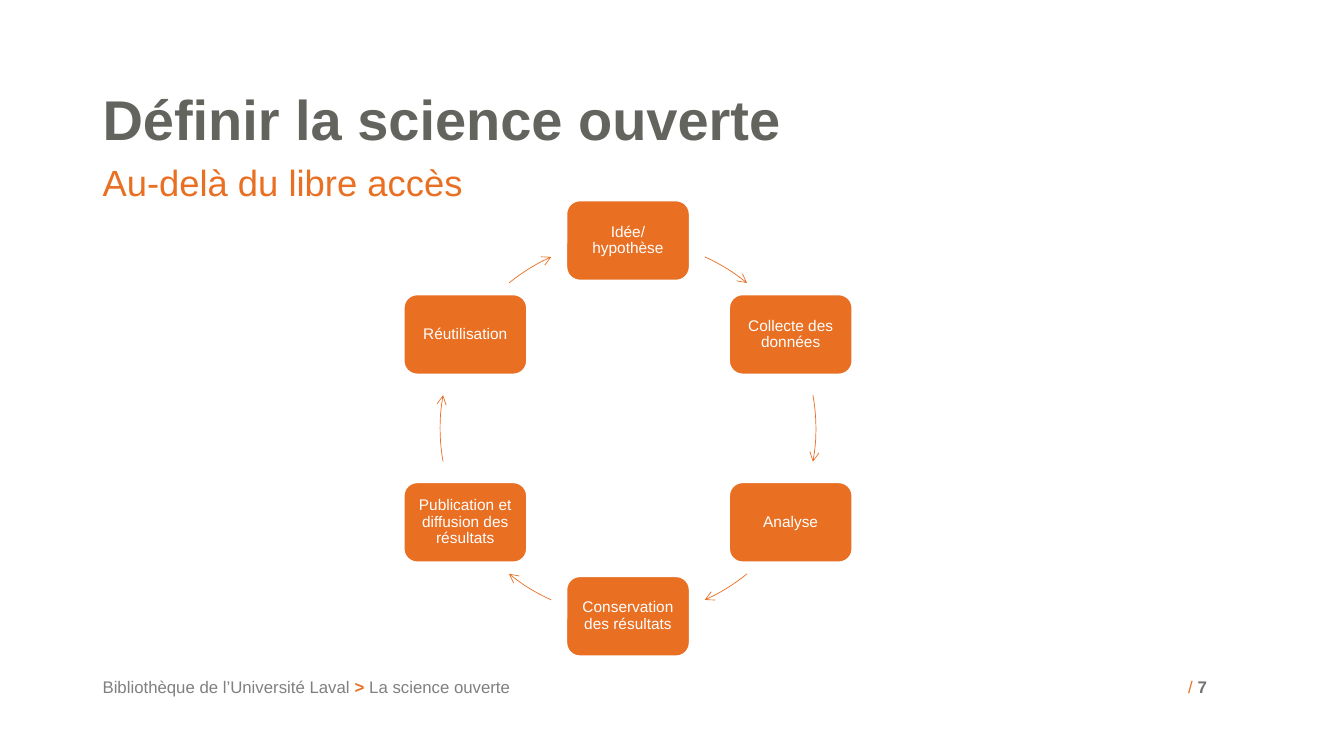
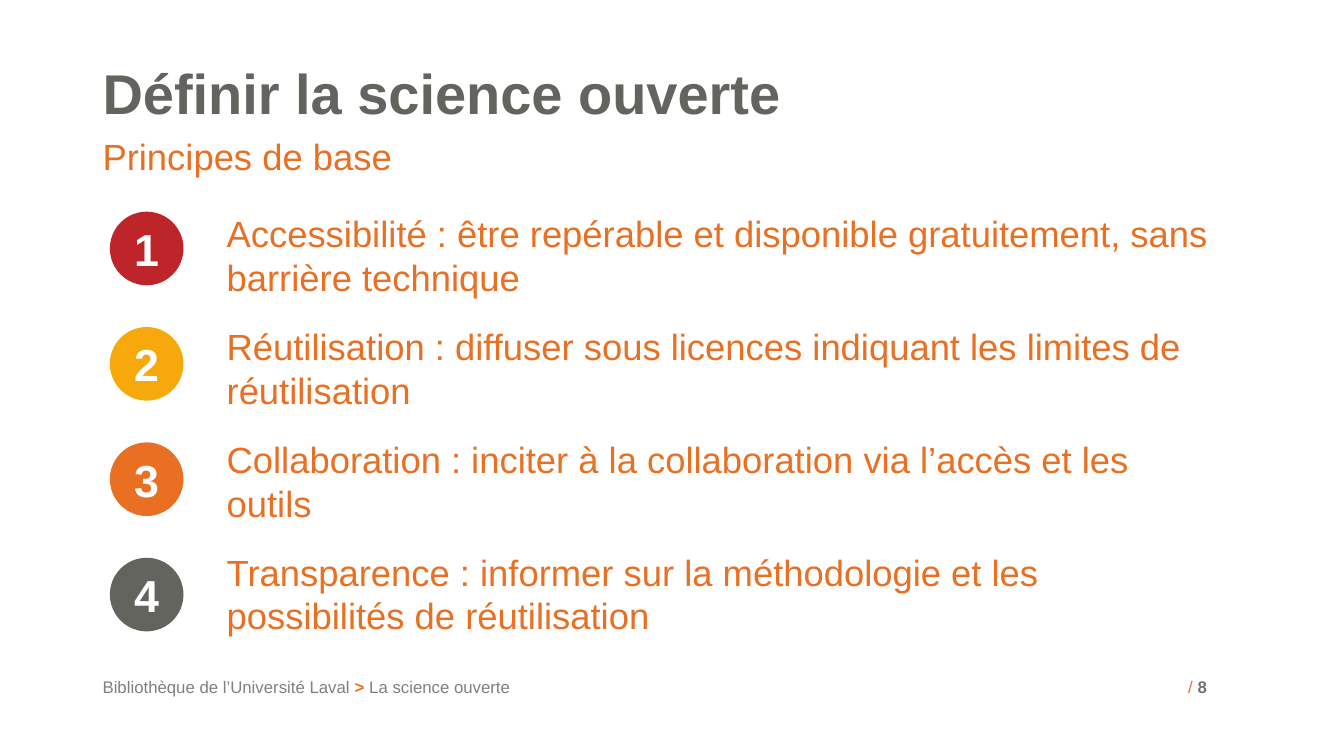
from dataclasses import dataclass
from math import cos, radians, sin

from lxml.etree import SubElement
from pptx import Presentation
from pptx.dml.color import RGBColor as Rgb
from pptx.enum.shapes import MSO_SHAPE as Shape
from pptx.enum.text import MSO_ANCHOR as Anchor, PP_ALIGN as Align
from pptx.oxml.ns import qn
from pptx.util import Pt


@dataclass(frozen=True)
class Theme:
    font: str = "Arial"
    orange: str = "E96F23"
    red: str = "BD252B"
    yellow: str = "F7A90B"
    dark: str = "64645F"
    footer_gray: str = "808080"
    number_gray: str = "767171"
    white: str = "FFFFFF"
    title_size: int = 40
    body_size: int = 26
    badge_size: int = 32
    footer_size: int = 12
    step_size: int = 11


theme = Theme()
MARGIN_LEFT = 66.2
CONTENT_WIDTH = 828
CENTERED = {"alignment": Align.CENTER}
TIGHT = {"line_spacing": 0.9}
MIDDLE = {"vertical_anchor": Anchor.MIDDLE}


def write(shape, size, runs, paragraph_format=None, frame_format=None):
    """Fill a shape with one paragraph of (text, colour, bold) runs."""
    frame = shape.text_frame
    paragraph = frame.paragraphs[0]
    for target, values in (
        (frame, {"word_wrap": True, "vertical_anchor": Anchor.TOP, **(frame_format or {})}),
        (paragraph, {"alignment": Align.LEFT, **(paragraph_format or {})}),
    ):
        for name, value in values.items():
            setattr(target, name, value)
    for text, color, bold in runs:
        run = paragraph.add_run()
        run.text = text
        for name, value in {"name": theme.font, "size": Pt(size), "bold": bold}.items():
            setattr(run.font, name, value)
        run.font.color.rgb = Rgb.from_string(color)


def add_filled(slide, kind, left, top, width, height, fill):
    shape = slide.shapes.add_shape(kind, Pt(left), Pt(top), Pt(width), Pt(height))
    shape.shadow.inherit = False
    shape.fill.solid()
    shape.fill.fore_color.rgb = Rgb.from_string(fill)
    shape.line.fill.background()
    return shape


presentation = Presentation()
presentation.slide_width = Pt(960)
presentation.slide_height = Pt(540)

# Title, subtitle and footer of both slides
slides = []
for number, title_top, subtitle in (
    (7, 62.6, "Au-delà du libre accès"),
    (8, 43.9, "Principes de base"),
):
    slide = presentation.slides.add_slide(presentation.slide_layouts[6])
    slides.append(slide)
    footer = [
        ("Bibliothèque de l’Université Laval ", theme.footer_gray, False),
        ("> ", theme.orange, True),
        ("La science ouverte", theme.footer_gray, False),
    ]
    page = [("/ ", theme.orange, False), (str(number), theme.number_gray, True)]
    for left, top, width, height, size, runs, paragraph_format in (
        (MARGIN_LEFT, title_top, CONTENT_WIDTH, 50, theme.title_size,
         [("Définir la science ouverte", theme.dark, True)], TIGHT),
        (MARGIN_LEFT, title_top + 51.8, CONTENT_WIDTH, 36, theme.body_size,
         [(subtitle, theme.orange, False)], TIGHT),
        (MARGIN_LEFT, 479.5, 764.6, 28.8, theme.footer_size, footer, None),
        (841.7, 479.5, 52, 28.8, theme.footer_size, page, None),
    ):
        box = slide.shapes.add_textbox(Pt(left), Pt(top), Pt(width), Pt(height))
        write(box, size, runs, paragraph_format)

cycle_slide, principles_slide = slides

# Research cycle: steps every 60 degrees, clockwise from the top
CENTER_X, CENTER_Y, RADIUS = 448.6, 306, 134.2
STEP_WIDTH, STEP_HEIGHT = 87.8, 56.9
STEP_MARGINS = {f"margin_{side}": Pt(6.5) for side in ("left", "right", "top", "bottom")}
steps = (
    ("Idée/hypothèse", 24.1, 39.3),
    ("Collecte des données", 79.8, 100.2),
    ("Analyse", 140.7, 155.9),
    ("Conservation des résultats", 204.1, 219.3),
    ("Publication et diffusion des résultats", 259.8, 280.2),
    ("Réutilisation", 320.7, 335.9),
)
for index, (label, arc_start, arc_end) in enumerate(steps):
    angle = radians(60 * index)
    step = add_filled(
        cycle_slide, Shape.ROUNDED_RECTANGLE,
        CENTER_X + RADIUS * sin(angle) - STEP_WIDTH / 2,
        CENTER_Y - RADIUS * cos(angle) - STEP_HEIGHT / 2,
        STEP_WIDTH, STEP_HEIGHT, theme.orange,
    )
    step.line.color.rgb = Rgb.from_string(theme.white)
    step.line.width = Pt(1)
    write(step, theme.step_size, [(label, theme.white, False)],
          {**CENTERED, **TIGHT}, {**MIDDLE, **STEP_MARGINS})

    arrow = cycle_slide.shapes.add_shape(
        Shape.ARC, Pt(CENTER_X - RADIUS), Pt(CENTER_Y - RADIUS), Pt(2 * RADIUS), Pt(2 * RADIUS)
    )
    arrow.shadow.inherit = False
    arrow.fill.background()
    # Arc angles run clockwise from the right, in 60000ths of a degree
    for position, degrees in enumerate((arc_start, arc_end)):
        arrow.adjustments[position] = (degrees - 90) % 360 * 0.6
    arrow.line.color.rgb = Rgb.from_string(theme.orange)
    arrow.line.width = Pt(0.5)
    SubElement(arrow.line._get_or_add_ln(), qn("a:tailEnd"), type="arrow")

# Numbered principles
principles = (
    ("Accessibilité : être repérable et disponible gratuitement, sans barrière technique", theme.red),
    ("Réutilisation : diffuser sous licences indiquant les limites de réutilisation", theme.yellow),
    ("Collaboration : inciter à la collaboration via l’accès et les outils", theme.orange),
    ("Transparence : informer sur la méthodologie et les possibilités de réutilisation", theme.dark),
)
for index, (principle, color) in enumerate(principles):
    box = principles_slide.shapes.add_textbox(
        Pt(154.8), Pt(149.8 + 80.6 * index), Pt(723.6), Pt(64.8)
    )
    write(box, theme.body_size, [(principle, theme.orange, False)], None, MIDDLE)
    badge = add_filled(principles_slide, Shape.OVAL, 78.5, 151.2 + 82.4 * index, 52.6, 52.6, color)
    write(badge, theme.badge_size, [(str(index + 1), theme.white, True)], CENTERED, MIDDLE)

presentation.save("out.pptx")
